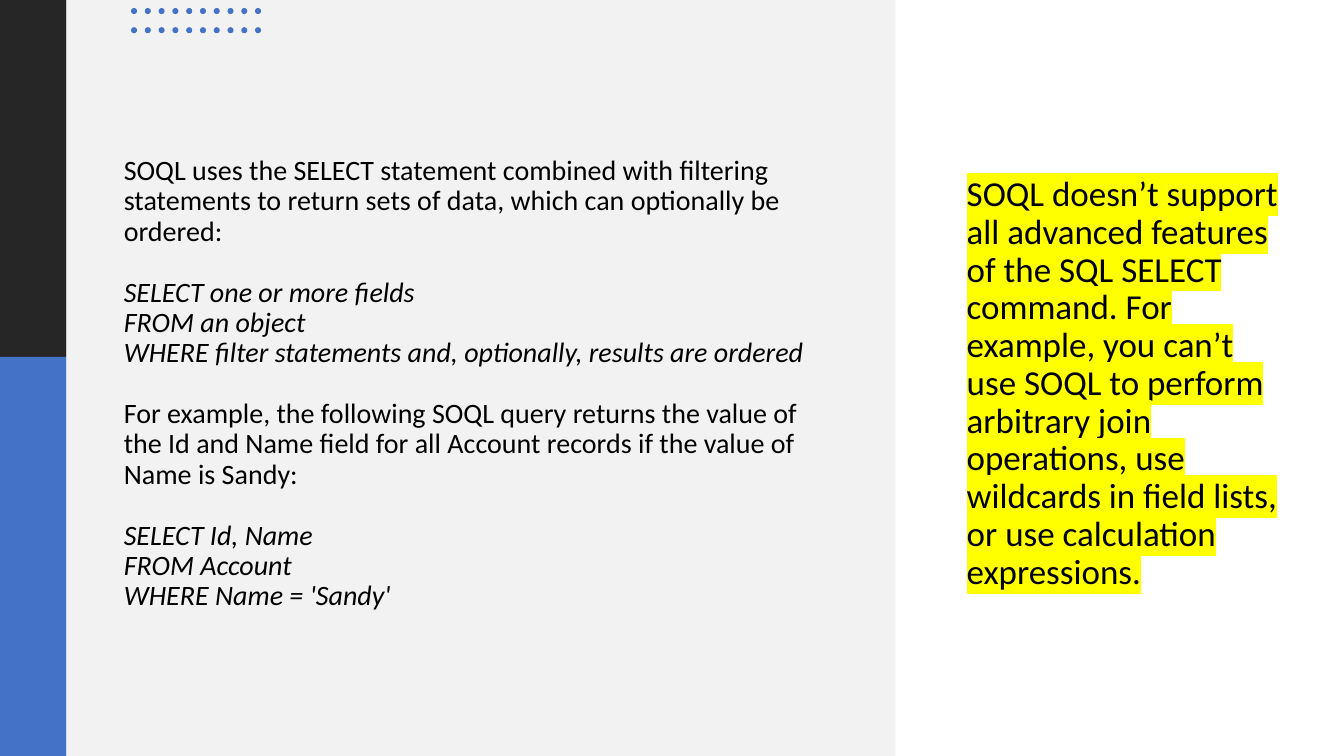
from lxml import etree
from pptx import Presentation
from pptx.dml.color import RGBColor
from pptx.enum.shapes import MSO_SHAPE as SHAPE
from pptx.enum.text import MSO_ANCHOR as ANCHOR
from pptx.oxml.ns import qn
from pptx.util import Inches, Pt

DARK = RGBColor(0x26, 0x26, 0x26)
BLUE = RGBColor(0x44, 0x72, 0xC4)
LIGHT = RGBColor(0xF2, 0xF2, 0xF2)
BLACK = RGBColor(0x00, 0x00, 0x00)
YELLOW = RGBColor(0xFF, 0xFF, 0x00)


def add_filled(shapes, kind, left, top, width, height, color):
    s = shapes.add_shape(kind, Inches(left), Inches(top), Inches(width), Inches(height))
    s.shadow.inherit = False
    s.fill.solid()
    s.fill.fore_color.rgb = color
    s.line.fill.background()


def write(p, text, size=20, italic=False, before=0, highlight=None):
    """Fill a paragraph; each newline in the text becomes a line break."""
    p.text = text.replace("\n", "\v")
    p.line_spacing = 0.9
    p.space_before = Pt(before)
    for r in p.runs:
        r.font.name = "Calibri"
        r.font.size = Pt(size)
        r.font.italic = italic
        r.font.color.rgb = BLACK
        if highlight is not None:
            mark = etree.Element(qn("a:highlight"))
            etree.SubElement(mark, qn("a:srgbClr"), val=str(highlight))
            r.font._element.find(qn("a:solidFill")).addnext(mark)


prs = Presentation()
prs.slide_width, prs.slide_height = Inches(13.33), Inches(7.5)
slide = prs.slides.add_slide(prs.slide_layouts[6])

# Side bar and panel
add_filled(slide.shapes, SHAPE.RECTANGLE, 0, 0, 0.66, 3.54, DARK)
add_filled(slide.shapes, SHAPE.RECTANGLE, 0, 3.54, 0.66, 3.96, BLUE)
add_filled(slide.shapes, SHAPE.RECTANGLE, 0.66, 0, 8.22, 7.5, LIGHT)

# Text columns
query_notes = [
    ("SOQL uses the SELECT statement combined with filtering statements to return "
     "sets of data, which can optionally be ordered:", dict()),
    ("SELECT one or more fields \nFROM an object \n"
     "WHERE filter statements and, optionally, results are ordered",
     dict(italic=True, before=22)),
    ("For example, the following SOQL query returns the value of the Id and Name "
     "field for all Account records if the value of Name is Sandy:", dict(before=22)),
    ("SELECT Id, Name\nFROM Account\nWHERE Name = 'Sandy'",
     dict(italic=True, before=22)),
]
limits = [
    ("SOQL doesn’t support all advanced features of the SQL SELECT command. For "
     "example, you can’t use SOQL to perform arbitrary join operations, use "
     "wildcards in field lists, or use calculation expressions.",
     dict(size=25, before=10, highlight=YELLOW)),
]
for left, width, paragraphs in [(1.13, 7.23, query_notes), (9.49, 3.33, limits)]:
    box = slide.shapes.add_textbox(Inches(left), Inches(1.26), Inches(width), Inches(5.1))
    tf = box.text_frame
    tf.word_wrap = True
    tf.vertical_anchor = ANCHOR.MIDDLE
    for i, (text, style) in enumerate(paragraphs):
        write(tf.add_paragraph() if i else tf.paragraphs[0], text, **style)

# Dot grid: ten columns, two rows
dots = slide.shapes.add_group_shape()
column_step = (2.53 - 1.3) / 9
for column in range(10):
    for top in (0.08, 0.27):
        add_filled(dots.shapes, SHAPE.OVAL, 1.3 + column * column_step, top, 0.06, 0.06, BLUE)

prs.save("out.pptx")
